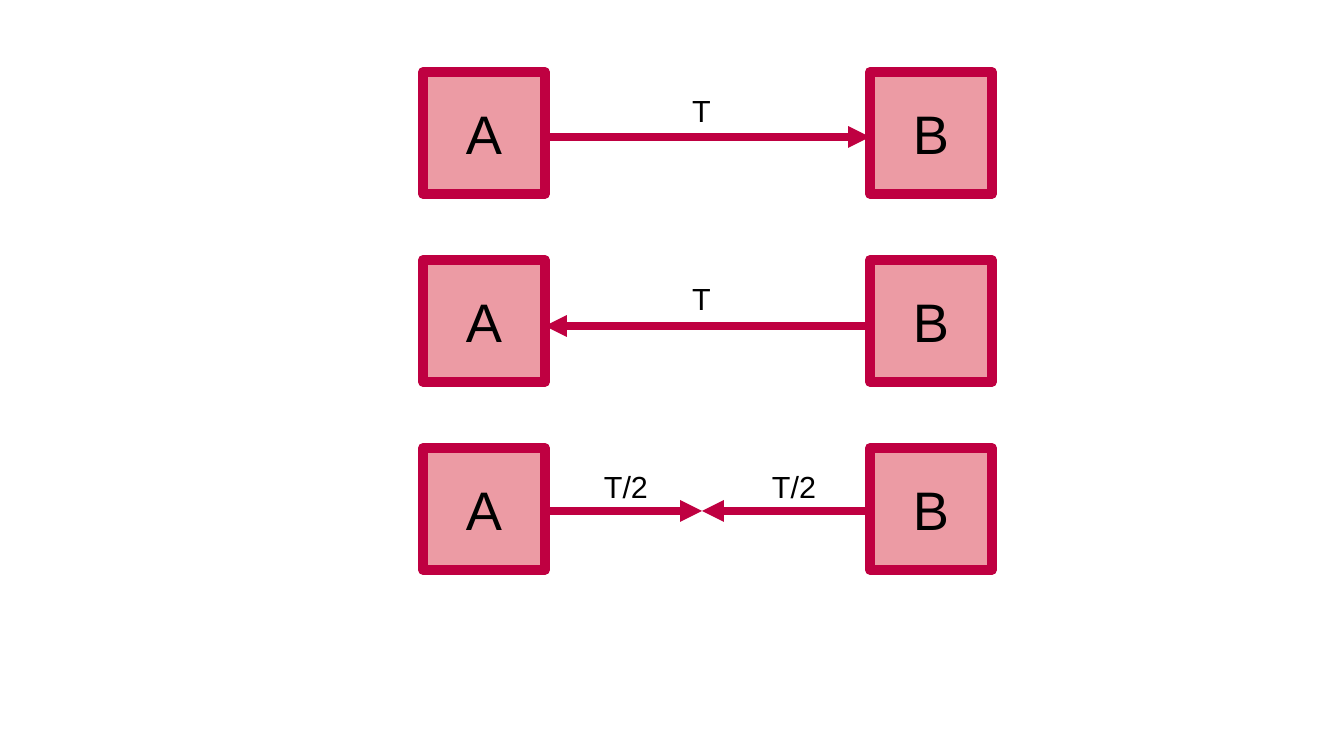
from lxml.etree import SubElement
from pptx import Presentation
from pptx.dml.color import RGBColor
from pptx.enum.shapes import MSO_CONNECTOR, MSO_SHAPE
from pptx.enum.text import MSO_ANCHOR, PP_ALIGN
from pptx.oxml.ns import qn
from pptx.util import Emu, Pt

EMU_PER_PX = 914400 / 122
CRIMSON = "BF0041"
PINK = "EC9BA4"
BLACK = "000000"
BOX_SIZE = 122
BOX_LEFTS = {"A": 423, "B": 870}
A_RIGHT = BOX_LEFTS["A"] + BOX_SIZE
B_LEFT = BOX_LEFTS["B"]
MEETING_X = 702
FIRST_ROW_TOP = 72
ROW_STEP = 188

ROWS = [
    {"arrow_y": 65, "arrows": [(A_RIGHT, B_LEFT)],
     "labels": [("T", 671, 15, 61, 46)]},
    {"arrow_y": 66, "arrows": [(B_LEFT, A_RIGHT)],
     "labels": [("T", 671, 15, 61, 46)]},
    {"arrow_y": 63, "arrows": [(A_RIGHT, MEETING_X), (B_LEFT, MEETING_X)],
     "labels": [("T/2", 580, 10, 92, 57), ("T/2", 748, 10, 92, 57)]},
]


def px(length):
    return Emu(round(length * EMU_PER_PX))


def color(hex_string):
    return RGBColor.from_string(hex_string)


def write_text(shape, text, size, inset_x, inset_y):
    frame = shape.text_frame
    frame.word_wrap = True
    frame.vertical_anchor = MSO_ANCHOR.MIDDLE
    frame.margin_left = frame.margin_right = px(inset_x)
    frame.margin_top = frame.margin_bottom = px(inset_y)
    paragraph = frame.paragraphs[0]
    paragraph.alignment = PP_ALIGN.CENTER
    run = paragraph.add_run()
    run.text = text
    run.font.name = "Arial"
    run.font.size = Pt(size)
    run.font.color.rgb = color(BLACK)


def add_box(slide, name, left, top):
    shape = slide.shapes.add_shape(
        MSO_SHAPE.RECTANGLE, px(left), px(top), px(BOX_SIZE), px(BOX_SIZE))
    shape.shadow.inherit = False
    shape.fill.solid()
    shape.fill.fore_color.rgb = color(PINK)
    shape.line.color.rgb = color(CRIMSON)
    shape.line.width = Pt(5.75)
    write_text(shape, name, 32, 17, 11)


def add_arrow(slide, start_x, end_x, y):
    connector = slide.shapes.add_connector(
        MSO_CONNECTOR.STRAIGHT, px(start_x), px(y), px(end_x), px(y))
    connector.line.color.rgb = color(CRIMSON)
    connector.line.width = Pt(4.31)
    SubElement(connector.line._get_or_add_ln(), qn("a:tailEnd"), type="triangle")
    SubElement(connector._element.spPr, qn("a:effectLst"))


def add_label(slide, text, left, top, width, height):
    label = slide.shapes.add_textbox(px(left), px(top), px(width), px(height))
    write_text(label, text, 18, 12, 6)


def add_row(slide, row, top):
    for start_x, end_x in row["arrows"]:
        add_arrow(slide, start_x, end_x, top + row["arrow_y"])
    for name, left in BOX_LEFTS.items():
        add_box(slide, name, left, top)
    for text, left, offset, width, height in row["labels"]:
        add_label(slide, text, left, top + offset, width, height)


def main():
    presentation = Presentation()
    presentation.slide_width = px(1344)
    presentation.slide_height = px(756)
    slide = presentation.slides.add_slide(presentation.slide_layouts[6])
    for index, row in enumerate(ROWS):
        add_row(slide, row, FIRST_ROW_TOP + index * ROW_STEP)
    presentation.save("out.pptx")


if __name__ == "__main__":
    main()
